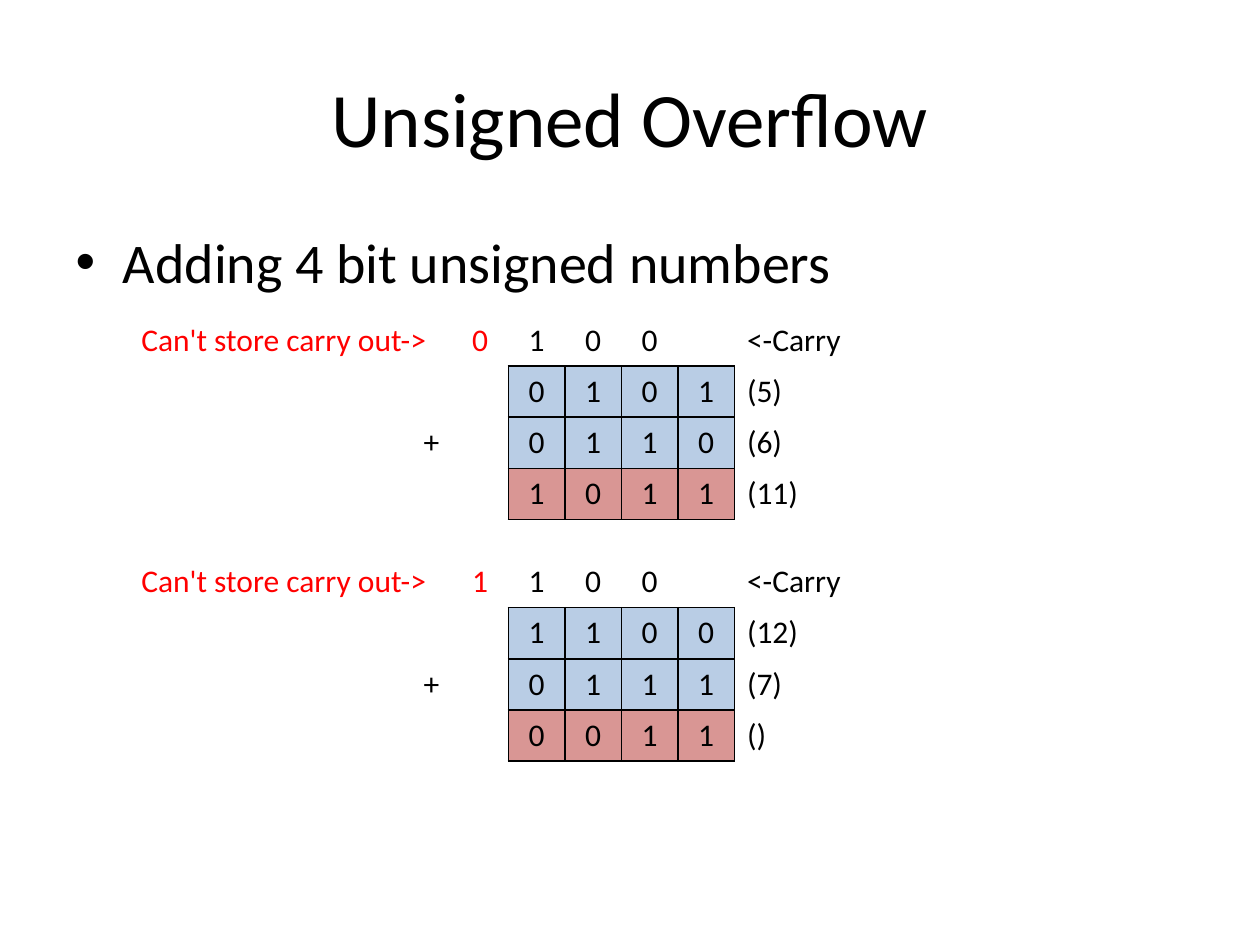
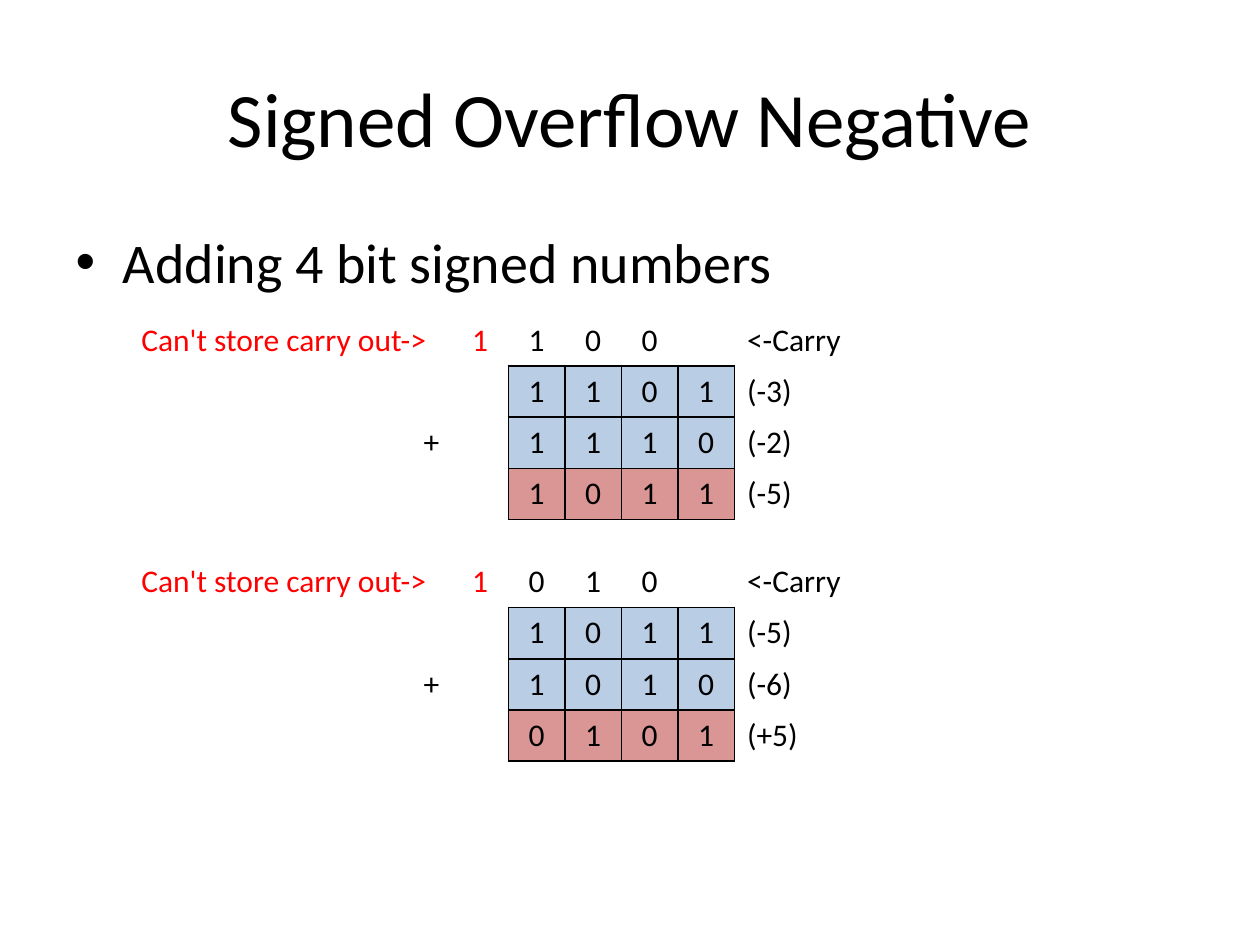
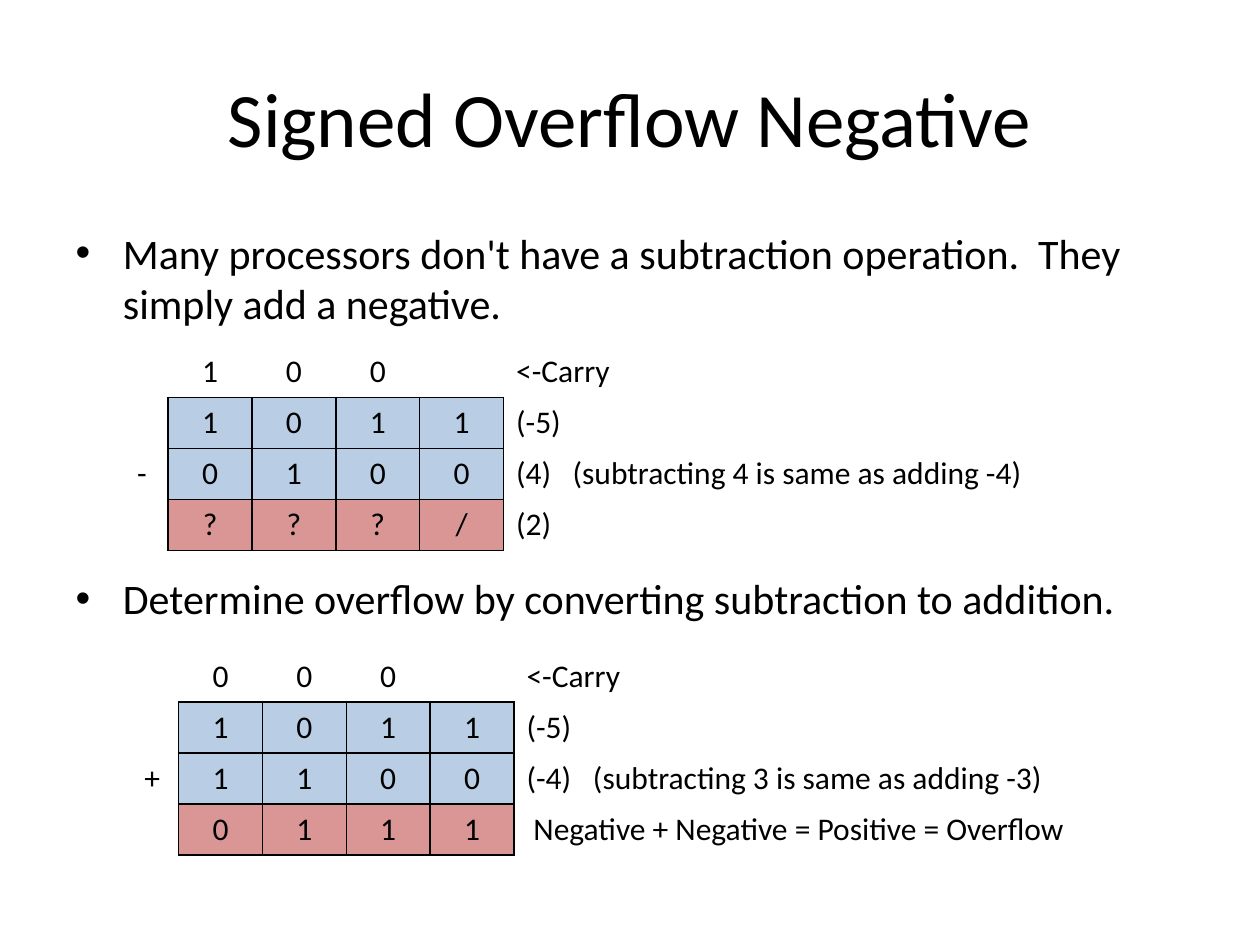
"""Builds three slides on binary addition and overflow."""
from dataclasses import dataclass
from typing import Any, NamedTuple

from lxml.etree import SubElement
from pptx import Presentation
from pptx.dml.color import RGBColor
from pptx.enum.text import MSO_ANCHOR as Anchor, PP_ALIGN as Align
from pptx.oxml.ns import qn
from pptx.util import Cm, Pt

BLACK, RED, BLUE, ROSE = "000000", "FF0000", "B9CDE5", "D99694"
FONT = "Calibri"
ROW_HEIGHT = Cm(1.03)
TITLE_BOX = {"left": Cm(1.27), "top": Cm(0.76), "width": Cm(22.86), "height": Cm(3.18)}
BODY_BOX = {"left": Cm(1.27), "top": Cm(4.45), "width": Cm(22.86), "height": Cm(12.57)}
NEIGHBOURS = {"L": (0, -1), "R": (0, 1), "T": (-1, 0), "B": (1, 0)}


class Columns(NamedTuple):
    """Column widths in centimetres, and where the sign stands."""
    lead: tuple[float, ...]
    bit: float
    note: float
    sign_align: Align


@dataclass(frozen=True)
class Sum:
    """One worked sum: carries, two operands and a result, with notes."""
    left: float
    top: float
    columns: Columns
    bits: tuple[str, str, str, str]
    notes: tuple[str, str, str]
    sign: str = "+"
    carry_out: str = ""
    note_tab: float = 0
    result_indent: float = 0


@dataclass(frozen=True)
class Lesson:
    """One slide: title, bullets and sums."""
    title: str
    bullets: tuple[str, ...]
    bullet_size: int
    sums: tuple[Sum, ...]


NARROW = Columns((6.78, 1.14), 1.14, 6.35, Align.RIGHT)
WIDE = Columns((1.06,), 1.69, 12.5, Align.CENTER)

LESSONS = (
    Lesson("Unsigned Overflow", ("Adding 4 bit unsigned numbers",), 32, (
        Sum(2.33, 6.35, NARROW, ("100 ", "0101", "0110", "1011"),
            ("(5)", "(6)", "(11)"), carry_out="0"),
        Sum(2.33, 11.22, NARROW, ("100 ", "1100", "0111", "0011"),
            ("(12)", "(7)", "()"), carry_out="1"))),
    Lesson("Signed Overflow Negative", ("Adding 4 bit signed numbers",), 32, (
        Sum(2.33, 6.35, NARROW, ("100 ", "1101", "1110", "1011"),
            ("(-3)", "(-2)", "(-5)"), carry_out="1"),
        Sum(2.33, 11.22, NARROW, ("010 ", "1011", "1010", "0101"),
            ("(-5)", "(-6)", "(+5)"), carry_out="1"))),
    Lesson("Signed Overflow Negative", (
        "Many processors don't have a subtraction operation.  They simply add a negative.",
        "Determine overflow by converting subtraction to addition."), 24, (
        Sum(2.33, 6.98, WIDE, ("100 ", "1011", "0100", "???/"),
            ("(-5)", "(4)\t(subtracting 4 is same as adding -4)", "(2)"),
            sign="-", note_tab=1.14),
        Sum(2.54, 13.12, WIDE, ("000 ", "1011", "1100", "0111"),
            ("(-5)", "(-4)\t(subtracting 3 is same as adding -3)",
             "Negative + Negative = Positive = Overflow"),
            note_tab=1.34, result_indent=0.14))),
)


def colour(hex_value: str) -> RGBColor:
    """Turn a hex string into a colour."""
    return RGBColor.from_string(hex_value)


def apply(target: Any, values: dict[str, Any]) -> None:
    """Set each named attribute of the target."""
    for name, value in values.items():
        setattr(target, name, value)


def write(paragraph: Any, text: str, size: int, ink: str = BLACK) -> None:
    """Add a formatted run to a paragraph."""
    run = paragraph.add_run()
    run.text = text
    apply(run.font, {"name": FONT, "size": Pt(size)})
    run.font.color.rgb = colour(ink)


def set_border(cell: Any, side: str, visible: bool) -> None:
    """Draw or clear one side of a cell."""
    line = SubElement(cell._tc.get_or_add_tcPr(), qn(f"a:ln{side}"), w=str(Pt(1)))
    if visible:
        fill = SubElement(line, qn("a:solidFill"))
        SubElement(fill, qn("a:srgbClr"), val=BLACK)
    else:
        SubElement(line, qn("a:noFill"))


def set_note_layout(paragraph: Any, tab: float, indent: float) -> None:
    """Give a note its tab stop and left indent."""
    properties = paragraph._p.get_or_add_pPr()
    if indent:
        properties.set("marL", str(Cm(indent)))
    if tab:
        stops = SubElement(properties, qn("a:tabLst"))
        SubElement(stops, qn("a:tab"), pos=str(Cm(tab)), algn="l")


def draw_sum(slide: Any, item: Sum) -> None:
    """Draw a sum as a table with framed bits."""
    columns = item.columns
    lead = len(columns.lead)
    widths = [Cm(w) for w in (*columns.lead, *[columns.bit] * 4, columns.note)]
    carry_lead = ["Can't store carry out->", item.carry_out] if item.carry_out else [""]
    blanks = [""] * lead
    leads = [carry_lead, blanks, [item.sign, *blanks[1:]], blanks]
    notes = ("<-Carry", *item.notes)
    table = slide.shapes.add_table(4, len(widths), Cm(item.left), Cm(item.top),
                                   sum(widths), ROW_HEIGHT * 4).table
    apply(table, {"first_row": False, "horz_banding": False})
    for column, width in zip(table.columns, widths):
        column.width = width

    def is_bit(row: int, col: int) -> bool:
        """Tell whether a place holds a framed bit."""
        return 1 <= row <= 3 and lead <= col < lead + 4

    for row, (labels, bits, note) in enumerate(zip(leads, item.bits, notes)):
        table.rows[row].height = ROW_HEIGHT
        for col, text in enumerate((*labels, *bits, note)):
            cell = table.cell(row, col)
            for side, (down, across) in NEIGHBOURS.items():
                set_border(cell, side, is_bit(row, col) or is_bit(row + down, col + across))
            if is_bit(row, col):
                cell.fill.solid()
                cell.fill.fore_color.rgb = colour(ROSE if row == 3 else BLUE)
            else:
                cell.fill.background()
            if not text.strip():
                continue
            paragraph = cell.text_frame.paragraphs[0]
            if col == lead + 4:
                set_note_layout(paragraph, item.note_tab if "\t" in text else 0,
                                item.result_indent if row == 3 else 0)
            else:
                paragraph.alignment = columns.sign_align if text == item.sign else Align.CENTER
            write(paragraph, text, 18, RED if row == 0 and col < lead else BLACK)


def draw_lesson(deck: Any, lesson: Lesson) -> None:
    """Add a slide with its title, bullets and sums."""
    slide = deck.slides.add_slide(deck.slide_layouts[1])
    title, body = slide.shapes.title, slide.placeholders[1]
    apply(title, TITLE_BOX)
    apply(body, BODY_BOX)
    title.text_frame.vertical_anchor = Anchor.MIDDLE
    heading = title.text_frame.paragraphs[0]
    heading.alignment = Align.CENTER
    write(heading, lesson.title, 44)
    for index, bullet in enumerate(lesson.bullets):
        frame = body.text_frame
        paragraph = frame.add_paragraph() if index else frame.paragraphs[0]
        paragraph.space_before = Cm(4.93) if index else Pt(0)
        write(paragraph, bullet, lesson.bullet_size)
    for item in lesson.sums:
        draw_sum(slide, item)


def main() -> None:
    """Build and save the deck."""
    deck = Presentation()
    apply(deck, {"slide_width": Cm(25.4), "slide_height": Cm(19.05)})
    for lesson in LESSONS:
        draw_lesson(deck, lesson)
    deck.save("out.pptx")


if __name__ == "__main__":
    main()
